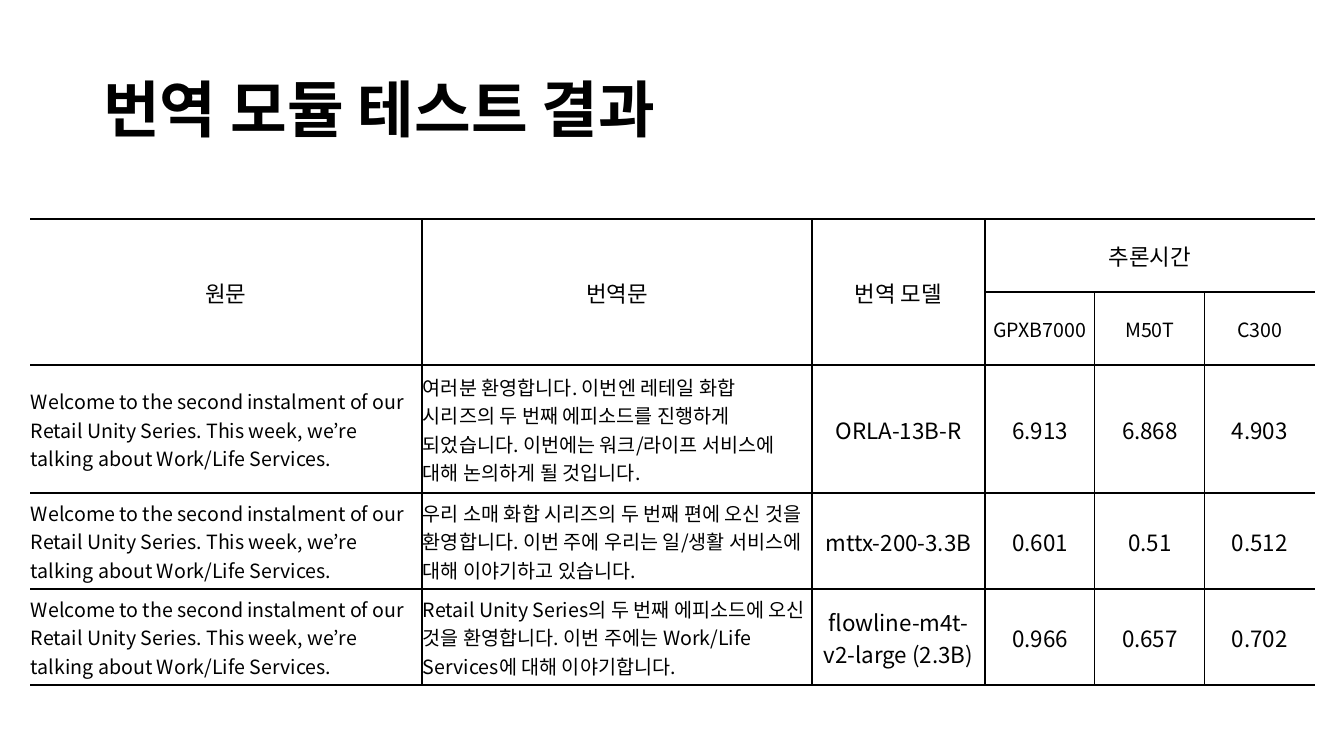
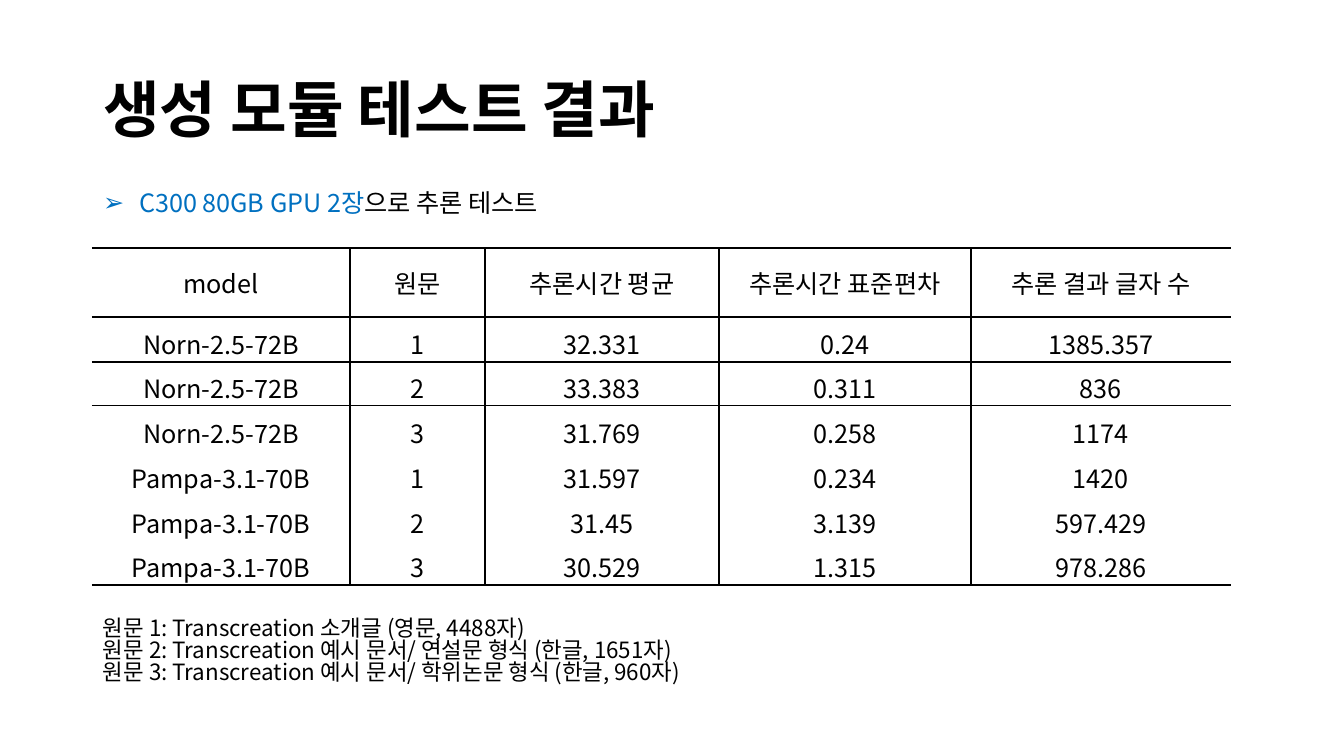
from lxml.etree import SubElement
from pptx import Presentation
from pptx.dml.color import RGBColor
from pptx.enum.text import MSO_ANCHOR, MSO_AUTO_SIZE, PP_ALIGN
from pptx.oxml import parse_xml
from pptx.oxml.ns import nsdecls, qn
from pptx.util import Emu, Pt

# Shared look
PX = 914400 / 100.8
FONT = "Noto Sans CJK KR"
BLACK = RGBColor(0x00, 0x00, 0x00)
WHITE = RGBColor(0xFF, 0xFF, 0xFF)
BLUE = RGBColor(0x00, 0x70, 0xC0)
PLAIN_TABLE = "{2D5ABB26-0587-4C30-8999-92F81FD0307C}"
THIN, THICK = 1, 1.5

TITLE_BOX = (93, 40, 1159, 146)
TITLE_FORMAT = {"alignment": PP_ALIGN.LEFT, "line_spacing": 0.9}
LIST_FORMAT = {"alignment": PP_ALIGN.LEFT, "line_spacing": 0.9, "space_before": Pt(0)}
NOTE_FORMAT = {"line_spacing": 0.82}

# Translation test
SOURCE_TEXT = ("Welcome to the second instalment of our Retail Unity Series. "
               "This week, we’re talking about Work/Life Services.")
TRANSLATION_ROWS = [
    ["원문", "번역문", "번역 모델", "추론시간", "", ""],
    ["", "", "", "GPXB7000", "M50T", "C300"],
    [SOURCE_TEXT,
     "여러분 환영합니다. 이번엔 레테일 화합 시리즈의 두 번째 에피소드를 진행하게 "
     "되었습니다. 이번에는 워크/라이프 서비스에 대해 논의하게 될 것입니다.",
     "ORLA-13B-R", "6.913", "6.868", "4.903"],
    [SOURCE_TEXT,
     "우리 소매 화합 시리즈의 두 번째 편에 오신 것을 환영합니다. "
     "이번 주에 우리는 일/생활 서비스에 대해 이야기하고 있습니다.",
     "mttx-200-3.3B", "0.601", "0.51", "0.512"],
    [SOURCE_TEXT,
     "Retail Unity Series의 두 번째 에피소드에 오신 것을 환영합니다. "
     "이번 주에는 Work/Life Services에 대해 이야기합니다.",
     "flowline-m4t-v2-large (2.3B)", "0.966", "0.657", "0.702"],
]
TRANSLATION_MERGES = [((0, col), (1, col)) for col in range(3)] + [((0, 3), (0, 5))]

# Generation test
GENERATION_ROWS = [
    ["model", "원문", "추론시간 평균", "추론시간 표준편차", "추론 결과 글자 수"],
    ["Norn-2.5-72B", "1", "32.331", "0.24", "1385.357"],
    ["Norn-2.5-72B", "2", "33.383", "0.311", "836"],
    ["Norn-2.5-72B", "3", "31.769", "0.258", "1174"],
    ["Pampa-3.1-70B", "1", "31.597", "0.234", "1420"],
    ["Pampa-3.1-70B", "2", "31.45", "3.139", "597.429"],
    ["Pampa-3.1-70B", "3", "30.529", "1.315", "978.286"],
]
SOURCE_NOTES = [
    "원문 1: Transcreation 소개글 (영문, 4488자)",
    "원문 2: Transcreation 예시 문서/ 연설문 형식 (한글, 1651자)",
    "원문 3: Transcreation 예시 문서/ 학위논문 형식 (한글, 960자)",
]


def px(length):
    return Emu(round(length * PX))


def set_all(target, values):
    for name, value in values.items():
        setattr(target, name, value)


def place(shape, box):
    set_all(shape, dict(zip(("left", "top", "width", "height"), map(px, box))))


def write(paragraph, text, size, color=BLACK, bold=False):
    run = paragraph.add_run()
    run.text = text
    set_all(run.font, {"size": Pt(size), "name": FONT, "bold": bold})
    run.font.color.rgb = color
    SubElement(run._r.get_or_add_rPr(), qn("a:ea"), typeface=FONT)


def add_title(slide, text):
    title = slide.shapes.title
    place(title, TITLE_BOX)
    set_all(title.text_frame, {"vertical_anchor": MSO_ANCHOR.MIDDLE,
                               "auto_size": MSO_AUTO_SIZE.NONE})
    heading = title.text_frame.paragraphs[0]
    set_all(heading, TITLE_FORMAT)
    write(heading, text, 44, bold=True)


def add_bullet(slide, box, parts):
    body = slide.placeholders[1]
    place(body, box)
    set_all(body.text_frame, {"vertical_anchor": MSO_ANCHOR.TOP,
                              "auto_size": MSO_AUTO_SIZE.NONE})
    item = body.text_frame.paragraphs[0]
    set_all(item, LIST_FORMAT)
    for text, color in parts:
        write(item, text, 18, color)
    properties = item._p.get_or_add_pPr()
    properties.set("marL", str(px(36)))
    properties.set("indent", str(px(-36)))
    SubElement(properties, qn("a:buChar"), char="➢")


def add_notes_box(slide, box, lines):
    notes = slide.shapes.add_textbox(*map(px, box)).text_frame
    notes.word_wrap = True
    for index, line in enumerate(lines):
        note = notes.add_paragraph() if index else notes.paragraphs[0]
        set_all(note, NOTE_FORMAT)
        write(note, line, 16)


def rule_cell(cell, left, right, top, bottom):
    """Draw the cell's borders; a width of 0 leaves that side open."""
    sides = [(side, width) for side, width in zip("LRTB", (left, right, top, bottom)) if width]
    for position, (side, width) in enumerate(sides):
        cell._tc.get_or_add_tcPr().insert(position, parse_xml(
            f'<a:ln{side} {nsdecls("a")} w="{Pt(width)}"><a:solidFill>'
            f'<a:srgbClr val="{BLACK}"/></a:solidFill></a:ln{side}>'))


def add_ruled_table(slide, origin, widths, heights, rows, row_rules, cell_style, merges=()):
    """row_rules maps a row edge to its width; cell_style gives size, alignment, anchor."""
    size = (sum(widths), sum(heights))
    table = slide.shapes.add_table(len(rows), len(widths), *map(px, origin + size)).table
    set_all(table, {"first_row": False, "horz_banding": False})
    table._tbl.tblPr.find(qn("a:tableStyleId")).text = PLAIN_TABLE
    for column, width in zip(table.columns, widths):
        column.width = px(width)
    for row, height in zip(table.rows, heights):
        row.height = px(height)
    for first, last in merges:
        table.cell(*first).merge(table.cell(*last))

    for r, texts in enumerate(rows):
        for c, text in enumerate(texts):
            cell = table.cell(r, c)
            if cell.is_spanned:
                continue
            font_size, alignment, anchor = cell_style(r, c)
            set_all(cell, {"margin_left": px(1), "margin_right": px(1), "margin_top": px(1),
                           "margin_bottom": 0, "vertical_anchor": anchor})
            cell.fill.solid()
            cell.fill.fore_color.rgb = WHITE
            entry = cell.text_frame.paragraphs[0]
            entry.alignment = alignment
            write(entry, text, font_size)
            # Outer left and right sides stay open
            end_row = r + (cell.span_height if cell.is_merge_origin else 1)
            end_col = c + (cell.span_width if cell.is_merge_origin else 1)
            rule_cell(cell, THIN if c else 0, THIN if end_col < len(widths) else 0,
                      row_rules.get(r, 0), row_rules.get(end_row, 0))


def translation_style(row, col):
    is_sentence = row > 1 and col < 2
    return (14 if is_sentence or row == 1 else 16,
            PP_ALIGN.LEFT if is_sentence else PP_ALIGN.CENTER, MSO_ANCHOR.MIDDLE)


def generation_style(row, col):
    return 18, PP_ALIGN.CENTER, MSO_ANCHOR.BOTTOM if row else MSO_ANCHOR.MIDDLE


def build_translation_slide(deck):
    slide = deck.slides.add_slide(deck.slide_layouts[5])
    add_title(slide, "번역 모듈 테스트 결과")
    add_ruled_table(slide, (30, 219), [392, 390, 173, 110, 110, 110], [73, 73, 128, 96, 96],
                    TRANSLATION_ROWS, dict.fromkeys(range(6), THIN),
                    translation_style, TRANSLATION_MERGES)


def build_generation_slide(deck):
    slide = deck.slides.add_slide(deck.slide_layouts[1])
    add_title(slide, "생성 모듈 테스트 결과")
    add_ruled_table(slide, (92, 248), [258, 135, 234, 252, 260], [69, 45, 44, 45, 45, 45, 44],
                    GENERATION_ROWS, {0: THICK, 1: THIN, 2: THIN, 7: THICK}, generation_style)
    add_notes_box(slide, (93, 614, 834, 95), SOURCE_NOTES)
    add_bullet(slide, (93, 186, 834, 40),
               [("C300 80GB GPU 2장", BLUE), ("으로 추론 테스트", BLACK)])


def main():
    deck = Presentation()
    set_all(deck, {"slide_width": px(1344), "slide_height": px(756)})
    build_translation_slide(deck)
    build_generation_slide(deck)
    deck.save("out.pptx")


if __name__ == "__main__":
    main()
